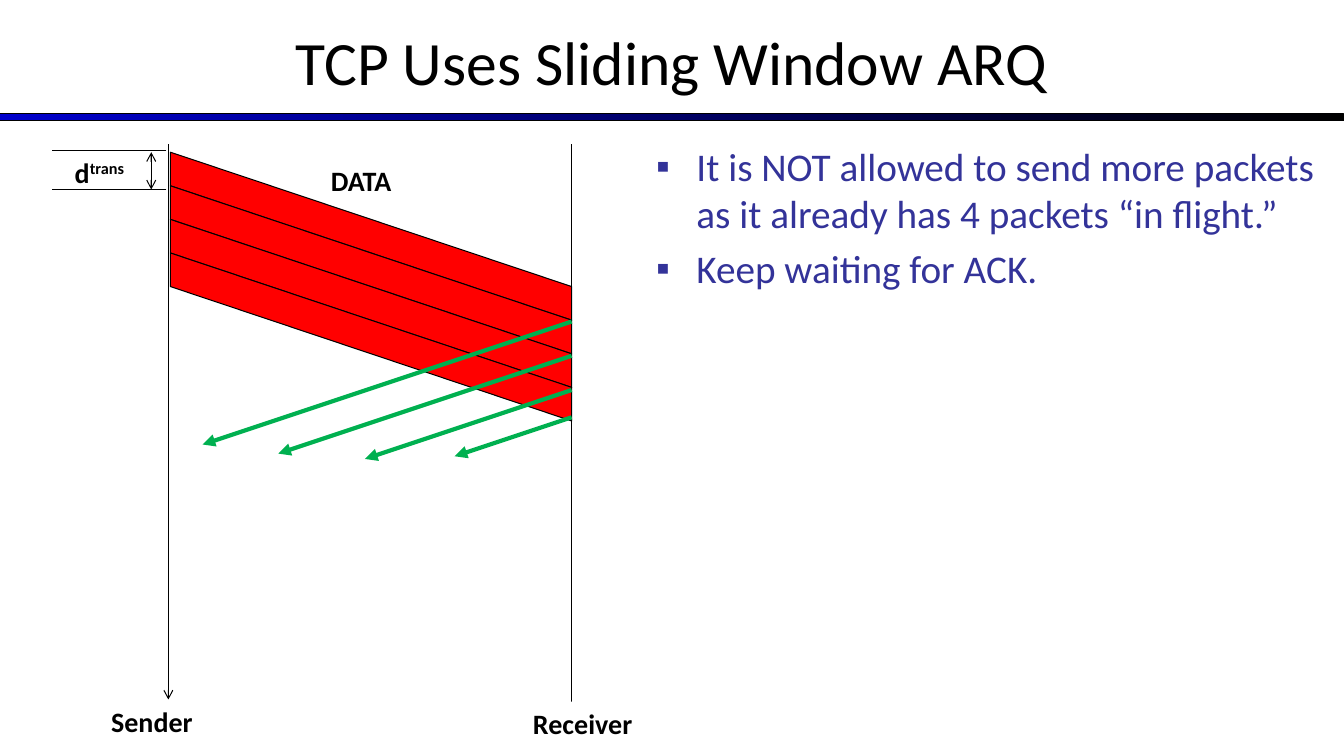
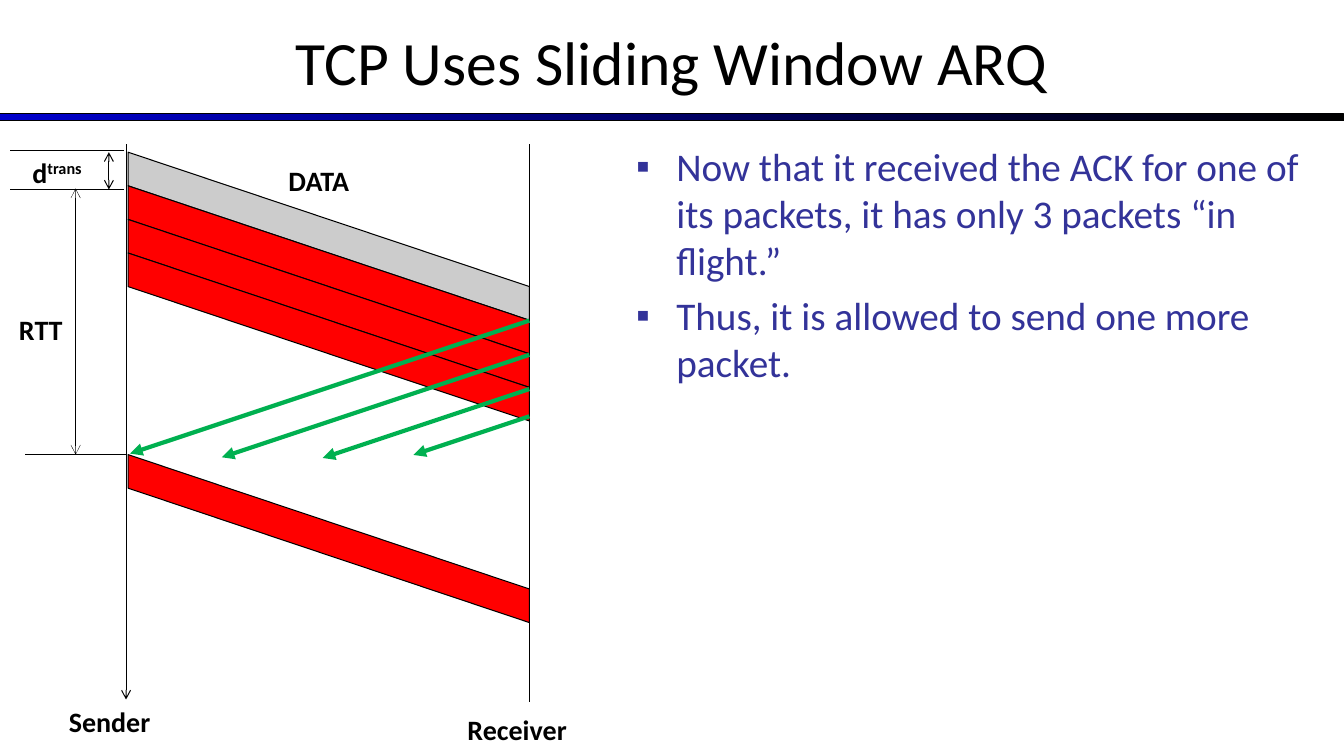
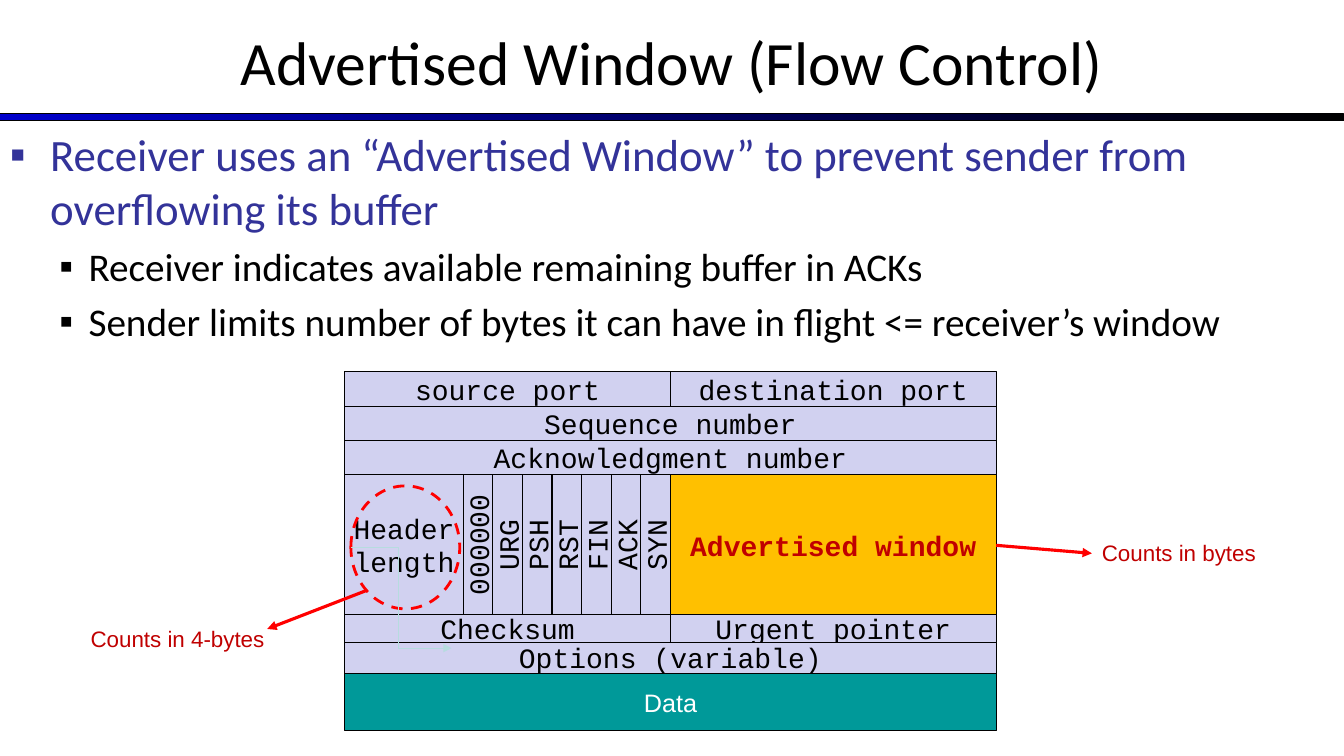
"""Build three slides on the TCP sliding window and the advertised window."""
from dataclasses import dataclass
from itertools import accumulate

from lxml.etree import SubElement
from pptx import Presentation
from pptx.dml.color import RGBColor
from pptx.enum.dml import MSO_LINE
from pptx.enum.shapes import MSO_CONNECTOR as CONN, MSO_SHAPE as SHAPE
from pptx.enum.text import MSO_ANCHOR as ANCHOR, MSO_AUTO_SIZE as AUTO, PP_ALIGN as ALIGN
from pptx.oxml.ns import qn
from pptx.util import Inches, Pt

W, H = 13.33, 7.5
TITLE_H = 1.21
BAND_TOP, BAND_H = 1.13, 0.07

BLACK = RGBColor(0x00, 0x00, 0x00)
WHITE = RGBColor(0xFF, 0xFF, 0xFF)
BLUE = RGBColor(0x00, 0x00, 0xCC)
INDIGO = RGBColor(0x33, 0x33, 0x99)
RED = RGBColor(0xFF, 0x00, 0x00)
GREY = RGBColor(0xCC, 0xCC, 0xCC)
GREEN = RGBColor(0x00, 0xB0, 0x50)
LILAC = RGBColor(0xD1, 0xD1, 0xF0)
AMBER = RGBColor(0xFF, 0xC0, 0x00)
CRIMSON = RGBColor(0xC0, 0x00, 0x00)
TEAL = RGBColor(0x00, 0x99, 0x99)
AQUA = RGBColor(0xB6, 0xDC, 0xDF)

BODY_FONT, PLAIN_FONT, CODE_FONT = "Calibri", "Arial", "Courier New"

AXIS_TOP, AXIS_END = 1.43, 6.94
SPAN = 4
SLOPE = 1 / 3
SLOT_TOP, SLOT = 1.51, 1 / 3

TABLE_LEFT, TABLE_TOP, TABLE_W = 3.42, 3.69, 6.46
COLS = 22
COL_W = TABLE_W / COLS
ROW_HEIGHTS = (0.34, 0.34, 0.34, 1.39, 0.27, 0.31, 0.57)
ROW_TOPS = tuple(accumulate(ROW_HEIGHTS, initial=TABLE_TOP))


@dataclass(frozen=True)
class Bullet:
    text: str
    size: int = 28
    color: RGBColor = INDIGO
    level: int = 0
    margin: float = 0.4
    hang: float = 0.4


@dataclass(frozen=True)
class Packet:
    slot: int
    fill: RGBColor = RED


@dataclass(frozen=True)
class Ack:
    start: float
    length: float


@dataclass(frozen=True)
class Cell:
    text: str
    row: int
    col: int
    span: int
    fill: RGBColor = LILAC
    color: RGBColor = BLACK
    font: str = CODE_FONT
    size: int = 20
    bold: bool = False
    turned: bool = False


def box(*lengths: float) -> list:
    return [Inches(n) for n in lengths]


def slot_y(slot: int) -> float:
    return SLOT_TOP + slot * SLOT


def add_run(p, text: str, *, size: int = 20, color: RGBColor = BLACK,
            font: str = BODY_FONT, bold: bool = False, raised: bool = False) -> None:
    r = p.add_run()
    r.text = text
    r.font.size, r.font.name, r.font.bold = Pt(size), font, bold
    r.font.color.rgb = color
    if raised:
        r.font._element.set("baseline", "30000")


def outline(sp, color: RGBColor = BLACK, width: float = 0.75) -> None:
    sp.shadow.inherit = False
    sp.line.color.rgb = color
    sp.line.width = Pt(width)


def line(s, x1: float, y1: float, x2: float, y2: float, *, color: RGBColor = BLACK,
         width: float = 0.75, head: str = "", tail: str = "", kind=CONN.STRAIGHT):
    sp = s.shapes.add_connector(kind, *box(x1, y1, x2, y2))
    sp.line.color.rgb = color
    sp.line.width = Pt(width)
    ln = sp.line._get_or_add_ln()
    for tag, end in (("a:headEnd", head), ("a:tailEnd", tail)):
        if end:
            SubElement(ln, qn(tag), type=end)
    SubElement(sp._element.spPr, qn("a:effectLst"))
    return sp


def label(s, text: str, x: float, y: float, w: float, *, raised: str = "",
          fill: RGBColor | None = None) -> None:
    sp = s.shapes.add_textbox(*box(x, y, w, 0.44))
    if fill is not None:
        sp.fill.solid()
        sp.fill.fore_color.rgb = fill
    tf = sp.text_frame
    tf.word_wrap, tf.auto_size = False, AUTO.SHAPE_TO_FIT_TEXT
    p = tf.paragraphs[0]
    p.alignment = ALIGN.RIGHT
    add_run(p, text, bold=True)
    if raised:
        add_run(p, raised, bold=True, raised=True)


def note(s, text: str, x: float, y: float) -> None:
    tf = s.shapes.add_textbox(*box(x, y, 2.15, 0.37)).text_frame
    tf.word_wrap = True
    add_run(tf.paragraphs[0], text, size=16, color=CRIMSON, font=PLAIN_FONT)


def bullets(s, items: list[Bullet], x: float, y: float, w: float, h: float) -> None:
    tf = s.shapes.add_textbox(*box(x, y, w, h)).text_frame
    tf.word_wrap = True
    for i, item in enumerate(items):
        p = tf.add_paragraph() if i else tf.paragraphs[0]
        p.level = item.level
        pPr = p._p.get_or_add_pPr()
        pPr.set("marL", str(Inches(item.margin)))
        pPr.set("indent", str(-Inches(item.hang)))
        tint = SubElement(pPr, qn("a:buClr"))
        SubElement(tint, qn("a:srgbClr"), val=str(item.color))
        SubElement(pPr, qn("a:buFont"), typeface=PLAIN_FONT)
        SubElement(pPr, qn("a:buChar"), char="▪")
        if i:
            p.space_before = Pt(0.2 * item.size)
        add_run(p, item.text, size=item.size, color=item.color)


def add_band(s, layout) -> None:
    sp = s.shapes.add_shape(SHAPE.RECTANGLE, *box(0, BAND_TOP, W, BAND_H))
    outline(sp)
    sp.fill.gradient()
    sp.fill.gradient_angle = 0
    for stop, color in zip(sp.fill.gradient_stops, (BLUE, BLACK)):
        stop.color.rgb = color
    layout.shapes._spTree.append(sp._element)


def new_slide(prs, title: str):
    layout = prs.slide_layouts[5]
    s = prs.slides.add_slide(layout)
    if len(prs.slides) == 1:
        add_band(s, layout)
    sp = s.shapes.title
    sp.left, sp.top, sp.width, sp.height = box(0, 0, W, TITLE_H)
    tf = sp.text_frame
    tf.vertical_anchor = ANCHOR.MIDDLE
    p = tf.paragraphs[0]
    p.alignment = ALIGN.CENTER
    add_run(p, title, size=44)
    return s


def draw_packet(s, x: float, packet: Packet) -> None:
    left, right, top = x + 0.02, x + SPAN, slot_y(packet.slot)
    drop = SPAN * SLOPE
    corners = [(right, top + drop), (right, top + drop + SLOT), (left, top + SLOT)]
    builder = s.shapes.build_freeform(*box(left, top))
    builder.add_line_segments([tuple(box(*c)) for c in corners], close=True)
    sp = builder.convert_to_shape()
    outline(sp)
    sp.fill.solid()
    sp.fill.fore_color.rgb = packet.fill


def time_diagram(s, x: float, packets: list[Packet], acks: list[Ack],
                 receiver_label: tuple[float, float]) -> None:
    line(s, x, AXIS_TOP, x, AXIS_END, tail="arrow")
    line(s, x + SPAN, AXIS_TOP, x + SPAN, AXIS_END + 0.02)
    label(s, "DATA", x + 1.5, 1.57, 0.81)
    label(s, "Sender", x - 0.68, AXIS_END, 1.02, fill=WHITE)
    label(s, "Receiver", *receiver_label, 1.2, fill=WHITE)
    for y in (1.49, 1.88):
        line(s, x - 0.02, y, x - 1.15, y)
    line(s, x - 0.17, SLOT_TOP, x - 0.17, 1.88, head="arrow", tail="arrow")
    label(s, "d", x - 1.09, 1.49, 0.75, raised="trans")
    for packet in packets:
        draw_packet(s, x, packet)
    for ack in acks:
        line(s, x + SPAN, ack.start, x + SPAN - ack.length,
             ack.start + ack.length * SLOPE, color=GREEN, width=3, tail="triangle")


def waiting_slide(prs) -> None:
    s = new_slide(prs, "TCP Uses Sliding Window ARQ")
    time_diagram(s, 1.67, [Packet(i) for i in range(4)],
                 [Ack(3.19, 3.66), Ack(3.53, 2.91), Ack(3.87, 2.05), Ack(4.14, 1.16)],
                 (5.17, 6.96))
    bullets(s, [
        Bullet("It is NOT allowed to send more packets as it already has 4 packets “in flight.”"),
        Bullet("Keep waiting for ACK."),
    ], 6.41, 1.36, 6.93, 5.97)


def ack_received_slide(prs) -> None:
    s = new_slide(prs, "TCP Uses Sliding Window ARQ")
    x, resume = 1.25, 9
    line(s, x, slot_y(resume), x - 1, slot_y(resume), width=0.25)
    line(s, x - 0.5, 1.87, x - 0.5, slot_y(resume), width=0.25, head="arrow", tail="arrow")
    label(s, "RTT", 0.08, 3.05, 0.64, fill=WHITE)
    time_diagram(s, x, [Packet(0, GREY), *(Packet(i) for i in (1, 2, 3, resume))],
                 [Ack(3.18, 3.96), Ack(3.52, 3.05), Ack(3.86, 2.05), Ack(4.13, 1.15)],
                 (4.52, 7.02))
    bullets(s, [
        Bullet("Now that it received the ACK for one of its packets, "
               "it has only 3 packets “in flight.”"),
        Bullet("Thus, it is allowed to send one more packet."),
    ], 6.21, 1.36, 7.02, 5.97)


def draw_cell(s, cell: Cell) -> None:
    x, y = TABLE_LEFT + cell.col * COL_W, ROW_TOPS[cell.row]
    w, h = cell.span * COL_W, ROW_HEIGHTS[cell.row]
    if cell.turned:
        x, y, w, h = x + (w - h) / 2, y + (h - w) / 2, h, w
    sp = s.shapes.add_shape(SHAPE.RECTANGLE, *box(x, y, w, h))
    sp.rotation = 270 if cell.turned else 0
    outline(sp)
    sp.fill.solid()
    sp.fill.fore_color.rgb = cell.fill
    tf = sp.text_frame
    tf.word_wrap, tf.vertical_anchor = False, ANCHOR.MIDDLE
    p = tf.paragraphs[0]
    p.alignment = ALIGN.CENTER
    for i, text in enumerate(cell.text.split("\n")):
        if i:
            p.add_line_break()
        add_run(p, text, size=cell.size, color=cell.color, font=cell.font, bold=cell.bold)


def advertised_slide(prs) -> None:
    s = new_slide(prs, "Advertised Window (Flow Control)")
    sub = {"color": BLACK, "level": 1, "margin": 0.78, "hang": 0.29}
    bullets(s, [
        Bullet("Receiver uses an “Advertised Window” to prevent sender from "
               "overflowing its buffer", size=32),
        Bullet("Receiver indicates available remaining buffer in ACKs", **sub),
        Bullet("Sender limits number of bytes it can have in flight <= receiver’s window", **sub),
    ], 0, TITLE_H, W, 2.1)
    half = COLS // 2
    flags = ("000000", "URG", "PSH", "RST", "FIN", "ACK", "SYN")
    cells = [
        Cell("source port", 0, 0, half),
        Cell("destination port", 0, half, half),
        Cell("Sequence number", 1, 0, COLS),
        Cell("Acknowledgment number", 2, 0, COLS),
        Cell("Header\nlength", 3, 0, 4),
        *(Cell(flag, 3, 4 + i, 1, turned=True) for i, flag in enumerate(flags)),
        Cell("Advertised window", 3, half, half, AMBER, CRIMSON, bold=True),
        Cell("Checksum", 4, 0, half),
        Cell("Urgent pointer", 4, half, half),
        Cell("Options (variable)", 5, 0, COLS),
        Cell("Data", 6, 0, COLS, TEAL, WHITE, PLAIN_FONT, 18),
    ]
    for cell in cells:
        draw_cell(s, cell)
    ring = s.shapes.add_shape(SHAPE.OVAL, *box(3.48, 4.82, 1.08, 1.22))
    ring.fill.background()
    outline(ring, RED, 2)
    ring.line.dash_style = MSO_LINE.DASH
    elbow = line(s, 3.48, 5.43, 4.48, 6.43, color=AQUA, tail="triangle", kind=CONN.ELBOW)
    guides = elbow._element.spPr.find(qn("a:prstGeom")).find(qn("a:avLst"))
    SubElement(guides, qn("a:gd"), name="adj1", fmla="val 47500")
    line(s, 3.63, 5.86, 2.65, 6.24, color=RED, width=2.25, tail="triangle")
    note(s, "Counts in 4-bytes", 0.8, 6.15)
    line(s, 9.88, 5.41, 10.83, 5.49, color=RED, width=2.25, tail="triangle")
    note(s, "Counts in bytes", 10.83, 5.3)


def main() -> None:
    prs = Presentation()
    prs.slide_width, prs.slide_height = box(W, H)
    waiting_slide(prs)
    ack_received_slide(prs)
    advertised_slide(prs)
    prs.save("out.pptx")


if __name__ == "__main__":
    main()
